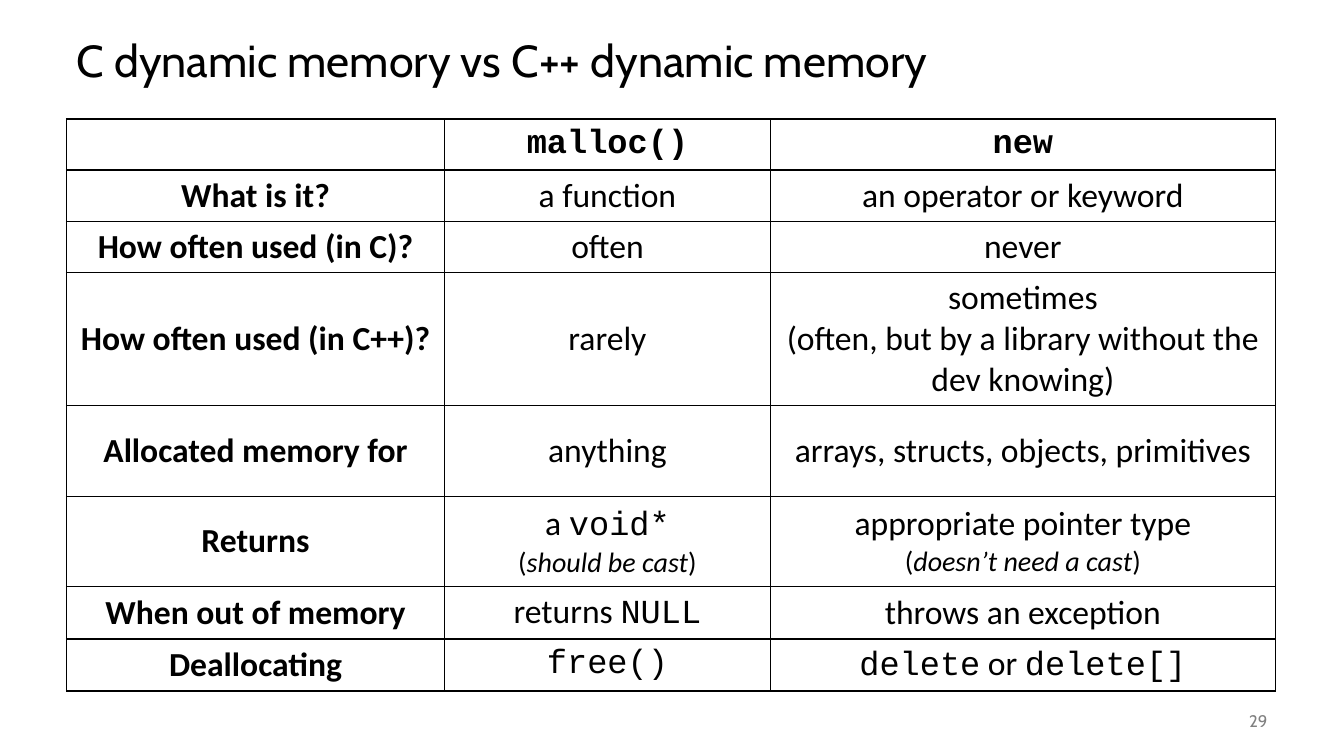
from lxml.etree import SubElement
from pptx import Presentation
from pptx.dml.color import RGBColor
from pptx.enum.text import MSO_ANCHOR, MSO_AUTO_SIZE, PP_ALIGN
from pptx.oxml.ns import qn
from pptx.util import Inches, Pt

BLACK = RGBColor(0x00, 0x00, 0x00)
GRAY = RGBColor(0x80, 0x80, 0x80)
TITLE_FONT, TEXT_FONT, CODE_FONT = "Cabin", "Calibri", "Courier New"

# Run styles: font, size, bold, italic
STYLES = {
    "text": (TEXT_FONT, 24, False, False),
    "label": (TEXT_FONT, 24, True, False),
    "code": (CODE_FONT, 24, False, False),
    "heading": (CODE_FONT, 24, True, False),
    "small": (TEXT_FONT, 20, False, False),
    "note": (TEXT_FONT, 20, False, True),
}

# Content: a cell is plain text or a list of (text, style) runs; "\n" breaks the line
TITLE = "C dynamic memory vs C++ dynamic memory"
PAGE_NUMBER = "29"
COLUMN_WIDTHS = [3.75, 3.23, 5.01]
ROWS = [
    (0.5, "", [("malloc()", "heading")], [("new", "heading")]),
    (0.5, "What is it?", "a function", "an operator or keyword"),
    (0.5, "How often used (in C)?", "often", "never"),
    (1.3, "How often used (in C++)?", "rarely",
     "sometimes\n(often, but by a library without the dev knowing)"),
    (0.9, "Allocated memory for", "anything", "arrays, structs, objects, primitives"),
    (0.9, "Returns",
     [("a ", "text"), ("void*\n", "code"),
      ("(", "small"), ("should be cast", "note"), (")", "small")],
     [("appropriate pointer type\n", "text"),
      ("(", "small"), ("doesn’t need a cast", "note"), (")", "small")]),
    (0.5, "When out of memory", [("returns ", "text"), ("NULL", "code")],
     "throws an exception"),
    (0.5, "Deallocating", [("free()", "code")],
     [("delete", "code"), (" or ", "text"), ("delete[]", "code")]),
]


def format_font(font, name, size, color, bold=False, italic=False):
    font.name, font.size = name, Pt(size)
    font.bold, font.italic = bold, italic
    font.color.rgb = color


def add_runs(paragraph, runs):
    for text, style in runs:
        name, size, bold, italic = STYLES[style]
        for index, line in enumerate(text.split("\n")):
            if index:
                paragraph.add_line_break()
            if line:
                run = paragraph.add_run()
                run.text = line
                format_font(run.font, name, size, BLACK, bold, italic)


def add_borders(cell):
    properties = cell._tc.get_or_add_tcPr()
    for side in ("a:lnL", "a:lnR", "a:lnT", "a:lnB"):
        line = SubElement(properties, qn(side), w=str(Pt(1)))
        fill = SubElement(line, qn("a:solidFill"))
        SubElement(fill, qn("a:srgbClr"), val=str(BLACK))


def fill_cell(cell, content, default_style):
    add_borders(cell)
    cell.fill.background()
    cell.vertical_anchor = MSO_ANCHOR.MIDDLE
    paragraph = cell.text_frame.paragraphs[0]
    paragraph.alignment = PP_ALIGN.CENTER
    paragraph.font.size = Pt(24)
    runs = [(content, default_style)] if isinstance(content, str) else content
    add_runs(paragraph, runs)


def write_line(shape, text, size, color, alignment):
    frame = shape.text_frame
    frame.word_wrap = True
    frame.auto_size = MSO_AUTO_SIZE.NONE
    frame.vertical_anchor = MSO_ANCHOR.MIDDLE
    paragraph = frame.paragraphs[0]
    paragraph.alignment = alignment
    run = paragraph.add_run()
    run.text = text
    format_font(run.font, TITLE_FONT, size, color)
    return paragraph


def main():
    presentation = Presentation()
    presentation.slide_width, presentation.slide_height = Inches(13.33), Inches(7.5)
    slide = presentation.slides.add_slide(presentation.slide_layouts[5])

    # Title
    title = slide.shapes.title
    title.left, title.top = Inches(0.66), Inches(0.25)
    title.width, title.height = Inches(12), Inches(0.75)
    write_line(title, TITLE, 32, BLACK, PP_ALIGN.LEFT).line_spacing = 0.9

    # Page number
    page_box = slide.shapes.add_textbox(Inches(11.67), Inches(6.95), Inches(1), Inches(0.4))
    write_line(page_box, PAGE_NUMBER, 12, GRAY, PP_ALIGN.RIGHT)

    # Comparison table
    table = slide.shapes.add_table(
        len(ROWS), len(COLUMN_WIDTHS), Inches(0.66), Inches(1.18),
        Inches(sum(COLUMN_WIDTHS)), Inches(sum(row[0] for row in ROWS))).table
    table.first_row = table.horz_banding = False
    for column, width in zip(table.columns, COLUMN_WIDTHS):
        column.width = Inches(width)
    for row, (height, *contents) in zip(table.rows, ROWS):
        row.height = Inches(height)
        for cell, content, style in zip(row.cells, contents, ("label", "text", "text")):
            fill_cell(cell, content, style)

    presentation.save("out.pptx")


if __name__ == "__main__":
    main()
